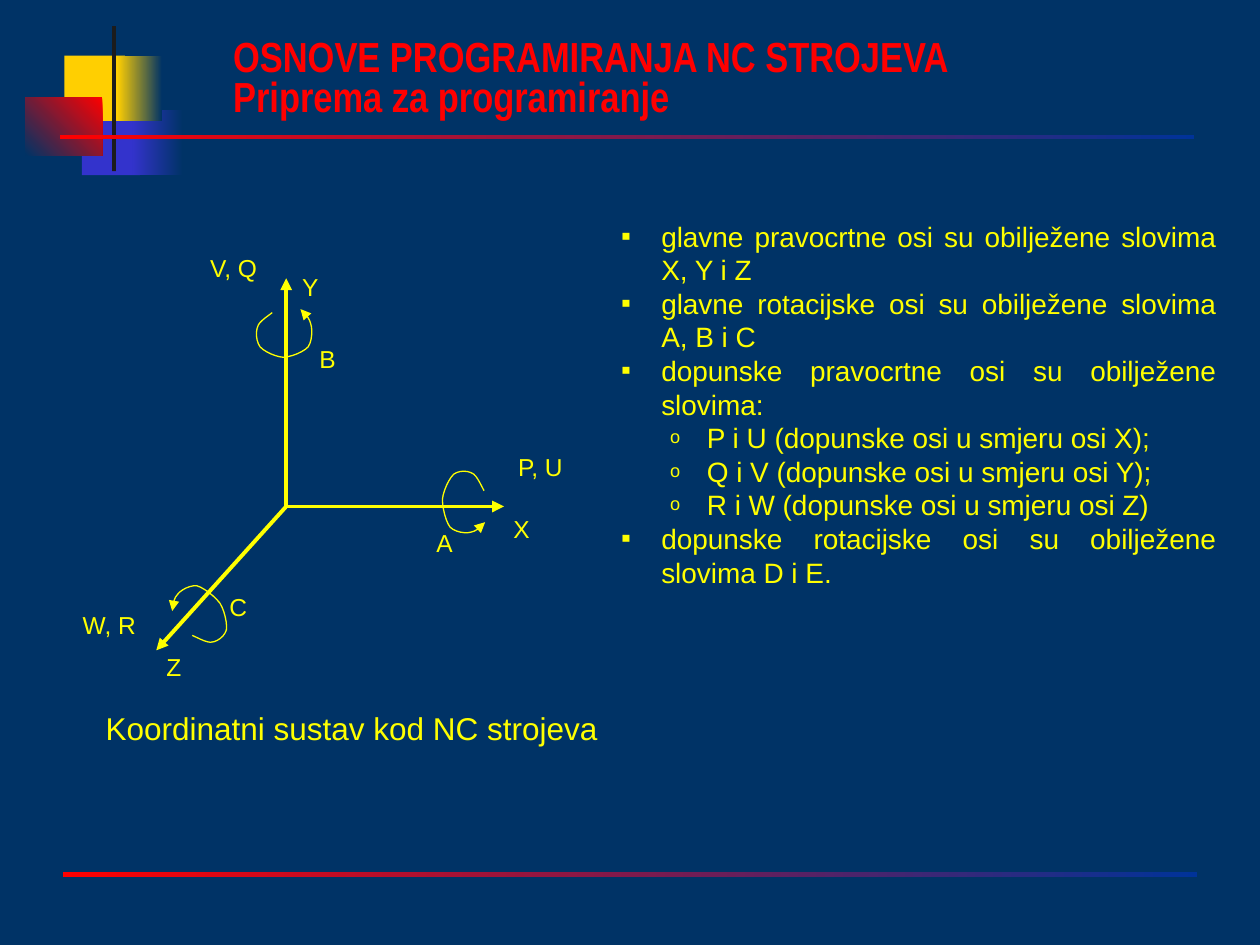
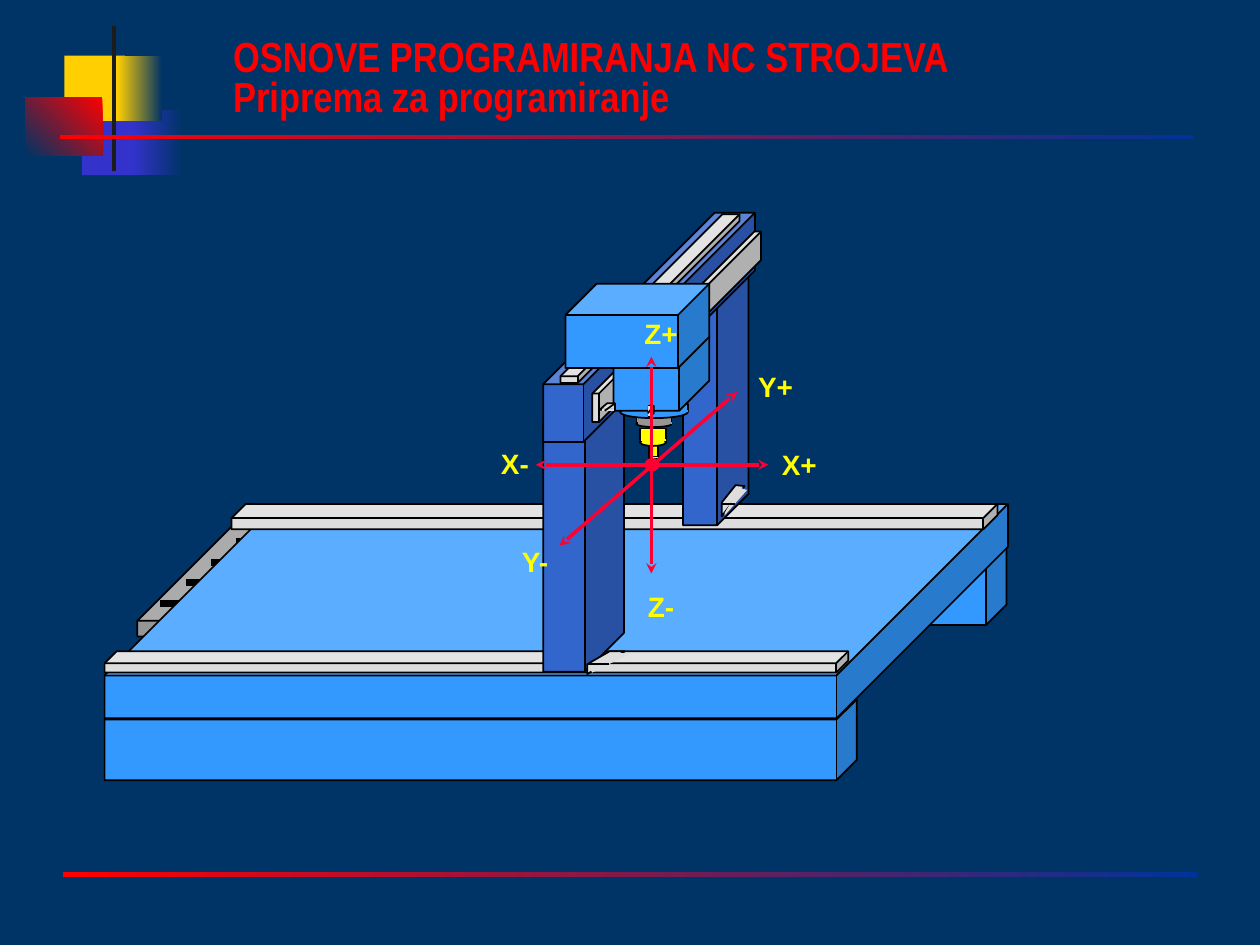
from typing import NamedTuple, Optional

import pptx
import pptx.dml.color
import pptx.enum.shapes
import pptx.enum.text
import pptx.oxml.ns
import pptx.util
from lxml import etree

Cm = pptx.util.Cm
Pt = pptx.util.Pt
PRESET = pptx.enum.shapes.MSO_SHAPE
ALIGN = pptx.enum.text.PP_ALIGN
ANCHOR = pptx.enum.text.MSO_ANCHOR
qn = pptx.oxml.ns.qn

COLORS = {
    "background": "003366", "indigo": "3333CC", "gold": "FFCF01", "ink": "1C1C1C",
    "red": "FF0000", "navy": "003399", "yellow": "FFFF00", "black": "000000",
    "steel": "969696", "light": "DDDDDD", "sky": "3399FF", "column": "3366CC",
    "arrow": "FF0033",
}
TITLE = "OSNOVE PROGRAMIRANJA NC STROJEVA\vPriprema za programiranje"
FONT = "Arial"


class Block(NamedTuple):
    preset: PRESET
    left: float
    top: float
    width: float
    height: float
    fill: str
    depth: Optional[float] = None
    outline: Optional[str] = "black"
    outline_width: float = 1


class Edge(NamedTuple):
    x1: float
    y1: float
    x2: float
    y2: float
    color: str = "black"
    width: float = 1
    head: Optional[str] = None
    tail: Optional[str] = None


class Patch(NamedTuple):
    points: list
    outline: Optional[str] = "black"


class Band(NamedTuple):
    left: float
    top: float
    width: float
    height: float
    start: str
    end: Optional[str] = None
    angle: float = 180


class Label(NamedTuple):
    text: str
    left: float
    top: float
    width: float = 0.97
    height: float = 0.66


class Turn(NamedTuple):
    left: float
    top: float
    width: float
    height: float
    rotation: float


BANDS = [
    Band(1.65, 2.21, 1.17, 1.32, "indigo"),
    Band(2.67, 2.21, 1.02, 1.32, "background", "indigo"),
    Band(1.3, 1.12, 1.22, 1.32, "gold"),
    Band(2.36, 1.12, 0.91, 1.32, "background", "gold"),
    Band(2.26, 0.53, 0.08, 2.92, "ink"),
    Band(0.51, 1.96, 1.55, 1.17, "red", "background", 225),
    Band(1.27, 17.58, 22.86, 0.1, "navy", "red"),
    Band(1.22, 2.72, 22.86, 0.08, "navy", "red"),
]

ORIGIN = (5.77, 10.21)
AXIS_ENDS = [(10.16, 10.21), (3.15, 13.11), (5.77, 5.61)]
TURN_START = (9.73, 9.91)
TURN_CURVES = [
    ((9.7, 9.86), (9.6, 9.63), (9.53, 9.58)),
    ((9.42, 9.5), (9.25, 9.5), (9.14, 9.58)),
    ((9.04, 9.68), (8.94, 9.91), (8.92, 10.08)),
    ((8.92, 10.26), (8.99, 10.54), (9.07, 10.64)),
    ((9.17, 10.74), (9.37, 10.77), (9.47, 10.74)),
    ((9.6, 10.72), (9.7, 10.59), (9.75, 10.54)),
]
TURNS = [
    Turn(8.92, 9.5, 0.86, 1.24, 0),
    Turn(5.26, 6.17, 0.94, 1.12, 265.3),
    Turn(3.63, 11.76, 0.86, 1.24, 142.5),
]
AXIS_LABELS = [
    Label("Y", 5.77, 5.46), Label("B", 6.12, 6.91),
    Label("P, U", 10.16, 9.09, 1.47, 0.86), Label("A", 8.48, 10.62),
    Label("X", 10.03, 10.34), Label("C", 4.32, 11.91),
    Label("W, R", 1.47, 12.27, 1.47, 0.81), Label("Z", 3.02, 13.11),
    Label("V, Q", 4.01, 5.08, 1.4),
]
BULLETS = [
    (0, "glavne pravocrtne osi su obilježene slovima X, Y i Z"),
    (0, "glavne rotacijske osi su obilježene slovima A, B i C"),
    (0, "dopunske pravocrtne osi su obilježene slovima:"),
    (1, "P i U (dopunske osi u smjeru osi X);"),
    (1, "Q i V (dopunske osi u smjeru osi Y);"),
    (1, "R i W (dopunske osi u smjeru osi Z)"),
    (0, "dopunske rotacijske osi su obilježene slovima D i E."),
]
# Per level: left margin, first-line indent, bullet, bullet size
BULLET_LEVELS = [(0.81, -0.81, "▪", "100000"), (1.73, -0.74, "o", "65000")]


def cube(left: float, top: float, width: float, height: float, fill: str, depth: float) -> Block:
    return Block(PRESET.CUBE, left, top, width, height, fill, depth)


def collar(left: float, width: float, top: float, height: float,
           rim_top: float, rim_height: float, fill: str) -> list:
    """Cylinder: a rim, a body and a line that hides the seam between them."""
    seam = top + height
    return [
        Block(PRESET.OVAL, left, rim_top, width, rim_height, fill),
        Block(PRESET.RECTANGLE, left, top, width, height, fill),
        Edge(left + 0.03, seam, left + width, seam, fill),
    ]


MACHINE = [
    cube(2.77, 10.59, 16.69, 2.24, "steel", 0.86),
    *[Edge(3.23 + 0.51 * i, 12.17 - 0.42 * i, 17.68 + 0.5 * i, 12.17 - 0.42 * i, width=4)
      for i in range(4)],
    cube(2.11, 14.1, 15.16, 1.63, "sky", 0.25),
    cube(5.41, 10.97, 14.88, 1.63, "sky", 0.25),
    cube(2.11, 10.16, 18.21, 4.32, "sky", 0.8),
    cube(4.67, 10.16, 15.44, 0.51, "light", 0.56),
    cube(2.11, 13.13, 14.99, 0.43, "light", 0.56),
    cube(13.77, 5.05, 1.32, 5.54, "column", 0.48),
    Patch([(14.55, 10.41), (14.55, 10.13), (14.83, 9.78), (15.01, 9.8)]),
    Patch([(14.91, 9.83), (15.06, 9.88), (14.61, 10.39), (14.61, 10.34)], None),
    Edge(14.81, 10.16, 14.55, 10.16),
    cube(10.95, 7.77, 1.63, 5.77, "column", 0.48),
    Patch([(11.84, 13.59), (11.84, 13.39), (12.29, 13.13), (12.6, 13.13)]),
    Patch([(12.45, 13.16), (12.7, 13.18), (11.94, 13.56), (11.91, 13.51)], None),
    Edge(12.27, 13.39, 11.84, 13.39),
    cube(10.95, 4.29, 4.27, 4.62, "column", 0.81),
    cube(11.3, 4.32, 3.61, 3.4, "light", 0.96),
    cube(11.94, 4.67, 3.4, 3.84, "light", 0.96),
    *collar(13.08, 0.18, 8.97, 0.25, 9.22, 0.05, "yellow"),
    *collar(12.9, 0.53, 8.64, 0.23, 8.84, 0.15, "yellow"),
    *collar(12.83, 0.71, 6.32, 2.21, 8.48, 0.13, "steel"),
    *collar(12.5, 1.37, 8.15, 0.13, 8.18, 0.25, "sky"),
    cube(12.37, 6.76, 1.93, 1.52, "sky", 0.4),
    cube(11.4, 5.72, 2.9, 1.7, "sky", 0.37),
    Patch([(12.4, 8.26), (12.4, 8.13), (12.24, 8.13), (12.09, 8.26)]),
    Edge(12.14, 8.26, 12.37, 8.26, "light"),
    Edge(12.19, 8.28, 12.4, 8.13),
    Patch([(13.08, 8.18), (13.18, 8.18), (13.18, 8.33), (13.08, 8.41)]),
    Edge(13.08, 8.18, 13.08, 8.38, "light"),
    Edge(13.06, 8.33, 13.18, 8.18),
]
MACHINE_LABELS = [
    Label("Z-", 12.07, 11.86, 2.51, 0.74), Label("Z+", 12.07, 6.35, 2.51, 0.74),
    Label("X-", 9.25, 8.97, 2.26, 0.74), Label("X+", 14.86, 8.99, 2.51, 0.74),
    Label("Y+", 14.38, 7.42, 2.51, 0.74), Label("Y-", 9.53, 10.95, 2.51, 0.74),
]
DIRECTIONS = [
    Edge(*ends, "arrow", 2, "stealth", "stealth")
    for ends in [(13.13, 7.19, 13.13, 11.56), (10.8, 9.37, 15.49, 9.37), (14.86, 7.9, 11.28, 11)]
]
CENTRE_DOT = Block(PRESET.OVAL, 13.03, 9.27, 0.23, 0.2, "arrow", None, "arrow", 2)


def rgb(name: str) -> pptx.dml.color.RGBColor:
    return pptx.dml.color.RGBColor.from_string(COLORS[name])


def apply(target, values: dict) -> None:
    for name, value in values.items():
        setattr(target, name, value)


def paint(shape, fill: Optional[str], outline: Optional[str], width: float = 1) -> None:
    shape.shadow.inherit = False
    for part, color in ((shape.fill, fill), (shape.line.fill, outline)):
        if color:
            part.solid()
            part.fore_color.rgb = rgb(color)
        else:
            part.background()
    if outline:
        shape.line.width = Pt(width)


def add_arrowheads(shape, head: Optional[str], tail: Optional[str]) -> None:
    line = shape._element.spPr.get_or_add_ln()
    for tag, kind in (("a:headEnd", head), ("a:tailEnd", tail)):
        if kind:
            etree.SubElement(line, qn(tag), type=kind)


def add_block(slide, block: Block) -> None:
    shape = slide.shapes.add_shape(block.preset, *map(Cm, block[1:5]))
    paint(shape, block.fill, block.outline, block.outline_width)
    if block.depth is not None:
        shape.adjustments[0] = block.depth


def add_edge(slide, edge: Edge) -> None:
    connector = slide.shapes.add_connector(
        pptx.enum.shapes.MSO_CONNECTOR.STRAIGHT, *map(Cm, edge[:4]))
    connector.line.color.rgb = rgb(edge.color)
    connector.line.width = Pt(edge.width)
    add_arrowheads(connector, edge.head, edge.tail)
    etree.SubElement(connector._element.spPr, qn("a:effectLst"))


def add_outline(slide, points: list, close: bool):
    start, *rest = [(Cm(x), Cm(y)) for x, y in points]
    builder = slide.shapes.build_freeform(*start)
    builder.add_line_segments(rest, close=close)
    return builder.convert_to_shape()


def add_patch(slide, patch: Patch) -> None:
    paint(add_outline(slide, patch.points, True), "light", patch.outline)


DRAWERS = {Block: add_block, Edge: add_edge, Patch: add_patch}


def turn_points(steps: int = 6) -> list:
    """Points along the chained cubic curves of a rotation arrow."""
    points = [TURN_START]
    for first, second, end in TURN_CURVES:
        start = points[-1]
        for step in range(1, steps + 1):
            t = step / steps
            weights = ((1 - t) ** 3, 3 * t * (1 - t) ** 2, 3 * t * t * (1 - t), t ** 3)
            points.append(tuple(
                sum(weight * value for weight, value in zip(weights, values))
                for values in zip(start, first, second, end)))
    return points


def add_turn(slide, turn: Turn) -> None:
    shape = add_outline(slide, turn_points(), False)
    paint(shape, None, "yellow", 0.75)
    add_arrowheads(shape, None, "triangle")
    apply(shape, {"left": Cm(turn.left), "top": Cm(turn.top), "width": Cm(turn.width),
                  "height": Cm(turn.height), "rotation": turn.rotation})


def format_frame(frame, left: float = 0.25, top: float = 0.13, right: float = 0.25,
                 bottom: float = 0.13, anchor=ANCHOR.TOP) -> None:
    apply(frame, {"word_wrap": True, "auto_size": pptx.enum.text.MSO_AUTO_SIZE.NONE,
                  "margin_left": Cm(left), "margin_top": Cm(top), "margin_right": Cm(right),
                  "margin_bottom": Cm(bottom), "vertical_anchor": anchor})


def format_paragraph(paragraph, size: float, color: str = "yellow", bold: bool = False,
                     align=ALIGN.LEFT, font: str = FONT, spacing: float = 1.0) -> None:
    apply(paragraph, {"alignment": align, "line_spacing": spacing,
                      "space_before": Pt(0), "space_after": Pt(0)})
    for run in paragraph.runs:
        apply(run.font, {"name": font, "size": Pt(size), "bold": bold})
        run.font.color.rgb = rgb(color)


def add_label(slide, label: Label, size: float, side: float, align=ALIGN.CENTER,
              bold: bool = False, right: float = 0.15, edge: float = 0.03) -> None:
    frame = slide.shapes.add_textbox(*map(Cm, label[1:])).text_frame
    format_frame(frame, side, edge, right, edge)
    frame.text = label.text
    format_paragraph(frame.paragraphs[0], size, bold=bold, align=align)


def place(shape, left: float, top: float, width: float, height: float) -> None:
    apply(shape, {"left": Cm(left), "top": Cm(top), "width": Cm(width), "height": Cm(height)})


def add_titled_slide(presentation, layout_index: int, title_width: float):
    slide = presentation.slides.add_slide(presentation.slide_layouts[layout_index])
    title = slide.shapes.title
    place(title, 4.45, 0, title_width, 2.57)
    format_frame(title.text_frame, anchor=ANCHOR.BOTTOM)
    title.text_frame.text = TITLE
    format_paragraph(title.text_frame.paragraphs[0], 24, "red", True,
                     font="Arial Narrow", spacing=0.8)
    return slide


def decorate_master(presentation, slide) -> None:
    """Draw the bands on a slide, then move them to the master all slides share."""
    master = presentation.slide_master
    master.background.fill.solid()
    master.background.fill.fore_color.rgb = rgb("background")
    for number, band in enumerate(BANDS, 100):
        shape = slide.shapes.add_shape(PRESET.RECTANGLE, *map(Cm, band[:4]))
        paint(shape, band.start, None)
        if band.end:
            shape.fill.gradient()
            shape.fill.gradient_angle = band.angle
            for stop, color in zip(shape.fill.gradient_stops, (band.start, band.end)):
                stop.color.rgb = rgb(color)
        shape._element.nvSpPr.cNvPr.set("id", str(number))
        master.shapes._spTree.append(shape._element)


def fill_bullets(body) -> None:
    place(body, 12.27, 3.61, 12.5, 9.07)
    frame = body.text_frame
    format_frame(frame, top=0.81)
    frame.text = "\n".join(text for _, text in BULLETS)
    for paragraph, (level, _) in zip(frame.paragraphs, BULLETS):
        margin, indent, character, size = BULLET_LEVELS[level]
        paragraph.level = level
        format_paragraph(paragraph, 16, align=ALIGN.JUSTIFY)
        properties = paragraph._p.get_or_add_pPr()
        properties.set("marL", str(Cm(margin)))
        properties.set("indent", str(Cm(indent)))
        bullet_color = etree.SubElement(properties, qn("a:buClr"))
        etree.SubElement(bullet_color, qn("a:srgbClr"), val=COLORS["yellow"])
        etree.SubElement(properties, qn("a:buSzPct"), val=size)
        etree.SubElement(properties, qn("a:buFont"), typeface=FONT)
        etree.SubElement(properties, qn("a:buChar"), char=character)


def build_axes_slide(presentation) -> None:
    slide = add_titled_slide(presentation, 1, 17.65)
    decorate_master(presentation, slide)
    fill_bullets(slide.placeholders[1])
    for end in AXIS_ENDS:
        add_edge(slide, Edge(*ORIGIN, *end, "yellow", 2.25, tail="triangle"))
    for turn in TURNS:
        add_turn(slide, turn)
    for label in AXIS_LABELS:
        add_label(slide, label, 14, 0.15)
    caption = Label("Koordinatni sustav kod NC strojeva", 1.7, 14.17, 11.63, 1.02)
    add_label(slide, caption, 18, 0.43, ALIGN.LEFT, edge=0.13)


def build_machine_slide(presentation) -> None:
    slide = add_titled_slide(presentation, 5, 20.96)
    for part in MACHINE:
        DRAWERS[type(part)](slide, part)
    for label in MACHINE_LABELS:
        add_label(slide, label, 16, 0.25, bold=True, right=0.25)
    for direction in DIRECTIONS:
        add_edge(slide, direction)
    add_block(slide, CENTRE_DOT)


def main() -> None:
    presentation = pptx.Presentation()
    apply(presentation, {"slide_width": Cm(25.4), "slide_height": Cm(19.05)})
    build_axes_slide(presentation)
    build_machine_slide(presentation)
    presentation.save("out.pptx")


if __name__ == "__main__":
    main()
